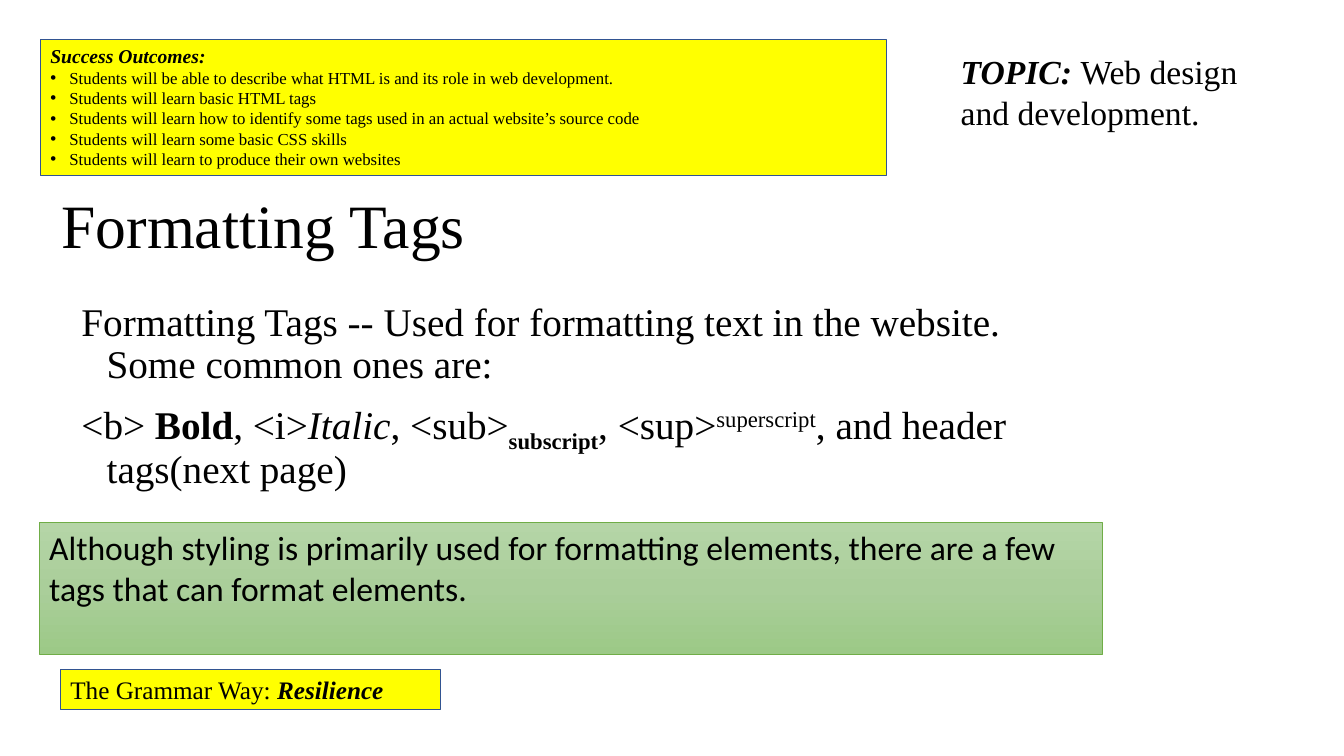
from copy import deepcopy

from lxml.etree import SubElement
from pptx import Presentation
from pptx.dml.color import RGBColor
from pptx.enum.shapes import MSO_SHAPE
from pptx.enum.text import MSO_ANCHOR, MSO_AUTO_SIZE, PP_ALIGN
from pptx.oxml.ns import qn
from pptx.util import Inches, Pt

COLORS = {
    "text": "000000",
    "yellow": "FFFF00",
    "blue_line": "325491",
    "green_line": "70AD47",
    "green_stops": ["B5D5A7", "AACE9A", "9CC987"],
}
SERIF = "Times New Roman"


def write(para, spans, size, font=SERIF):
    para.alignment = PP_ALIGN.LEFT
    para.font.name = font
    para.font.size = Pt(size)
    para.font.color.rgb = RGBColor.from_string(COLORS["text"])
    for text, style in spans:
        span = para.add_run()
        span.text = text
        if "b" in style:
            span.font.bold = True
        if "i" in style:
            span.font.italic = True
        if "sub" in style:
            span.font._element.set("baseline", "-25000")
        if "sup" in style:
            span.font._element.set("baseline", "30000")


def add_panel(left, top, width, height, line, line_width):
    panel = page.shapes.add_shape(
        MSO_SHAPE.RECTANGLE, Inches(left), Inches(top), Inches(width), Inches(height))
    panel.shadow.inherit = False
    panel.fill.solid()
    panel.fill.fore_color.rgb = RGBColor.from_string(COLORS["yellow"])
    panel.line.color.rgb = RGBColor.from_string(COLORS[line])
    panel.line.width = Pt(line_width)
    panel.text_frame.word_wrap = True
    panel.text_frame.vertical_anchor = MSO_ANCHOR.TOP
    return panel


deck = Presentation()
deck.slide_width = Inches(13.33)
deck.slide_height = Inches(7.5)
page = deck.slides.add_slide(deck.slide_layouts[5])

title = page.shapes.title
title.left, title.top = Inches(0.51), Inches(1.73)
title.width, title.height = Inches(11.5), Inches(1.07)
title.text_frame.vertical_anchor = MSO_ANCHOR.MIDDLE
title.text_frame.auto_size = MSO_AUTO_SIZE.NONE
title_para = title.text_frame.paragraphs[0]
title_para.line_spacing = 0.9
write(title_para, [("Formatting Tags", "")], 44)

body_paragraphs = [
    [("Formatting Tags -- Used for formatting text in the website. Some common ones are:", "")],
    [
        ("<b>", ""),
        (" Bold", "b"),
        (", <i>", ""),
        ("Italic", "i"),
        (", <sub>", ""),
        ("subscript", "sub"),
        (", <sup>", ""),
        ("superscript", "sup"),
        (", and header tags(next page)", ""),
    ],
]
body = page.shapes.add_textbox(Inches(0.71), Inches(2.95), Inches(9.9), Inches(3.35))
body.text_frame.word_wrap = True
for index, spans in enumerate(body_paragraphs):
    para = body.text_frame.add_paragraph() if index else body.text_frame.paragraphs[0]
    para.line_spacing = 0.9
    para.space_before = Pt(10)
    properties = para._p.get_or_add_pPr()
    properties.set("marL", str(Inches(0.25)))
    properties.set("indent", str(-Inches(0.25)))
    write(para, spans, 28)

motto = add_panel(0.6, 6.64, 3.77, 0.4, "blue_line", 0.75)
write(motto.text_frame.paragraphs[0], [("The Grammar Way: ", ""), ("Resilience", "bi")], 18)

topic = page.shapes.add_textbox(Inches(9.43), Inches(0.46), Inches(3.12), Inches(0.91))
topic.text_frame.word_wrap = True
write(topic.text_frame.paragraphs[0],
      [("TOPIC: ", "bi"), ("Web design and development.", "")], 24)

outcomes = [
    "Students will be able to describe what HTML is and its role in web development.",
    "Students will learn basic HTML tags",
    "Students will learn how to identify some tags used in an actual website’s source code",
    "Students will learn some basic CSS skills",
    "Students will learn to produce their own websites",
]
success = add_panel(0.4, 0.39, 8.39, 1.35, "blue_line", 0.75)
write(success.text_frame.paragraphs[0], [("Success Outcomes:", "bi")], 14)
for outcome in outcomes:
    para = success.text_frame.add_paragraph()
    properties = para._p.get_or_add_pPr()
    properties.set("marL", str(Inches(0.19)))
    properties.set("indent", str(-Inches(0.19)))
    SubElement(properties, qn("a:buFont"), typeface="Arial")
    SubElement(properties, qn("a:buChar"), char="•")
    write(para, [(outcome, "")], 12)

note = add_panel(0.39, 5.18, 10.54, 1.31, "green_line", 0.5)
note.fill.gradient()
note.fill.gradient_angle = 270
first_stop = note._element.spPr.find(".//" + qn("a:gs"))
first_stop.addnext(deepcopy(first_stop))
for index, stop in enumerate(note.fill.gradient_stops):
    stop.color.rgb = RGBColor.from_string(COLORS["green_stops"][index])
    stop.position = index / 2
write(note.text_frame.paragraphs[0],
      [("Although styling is primarily used for formatting elements, "
        "there are a few tags that can format elements.", "")], 24, "Calibri")

deck.save("out.pptx")
